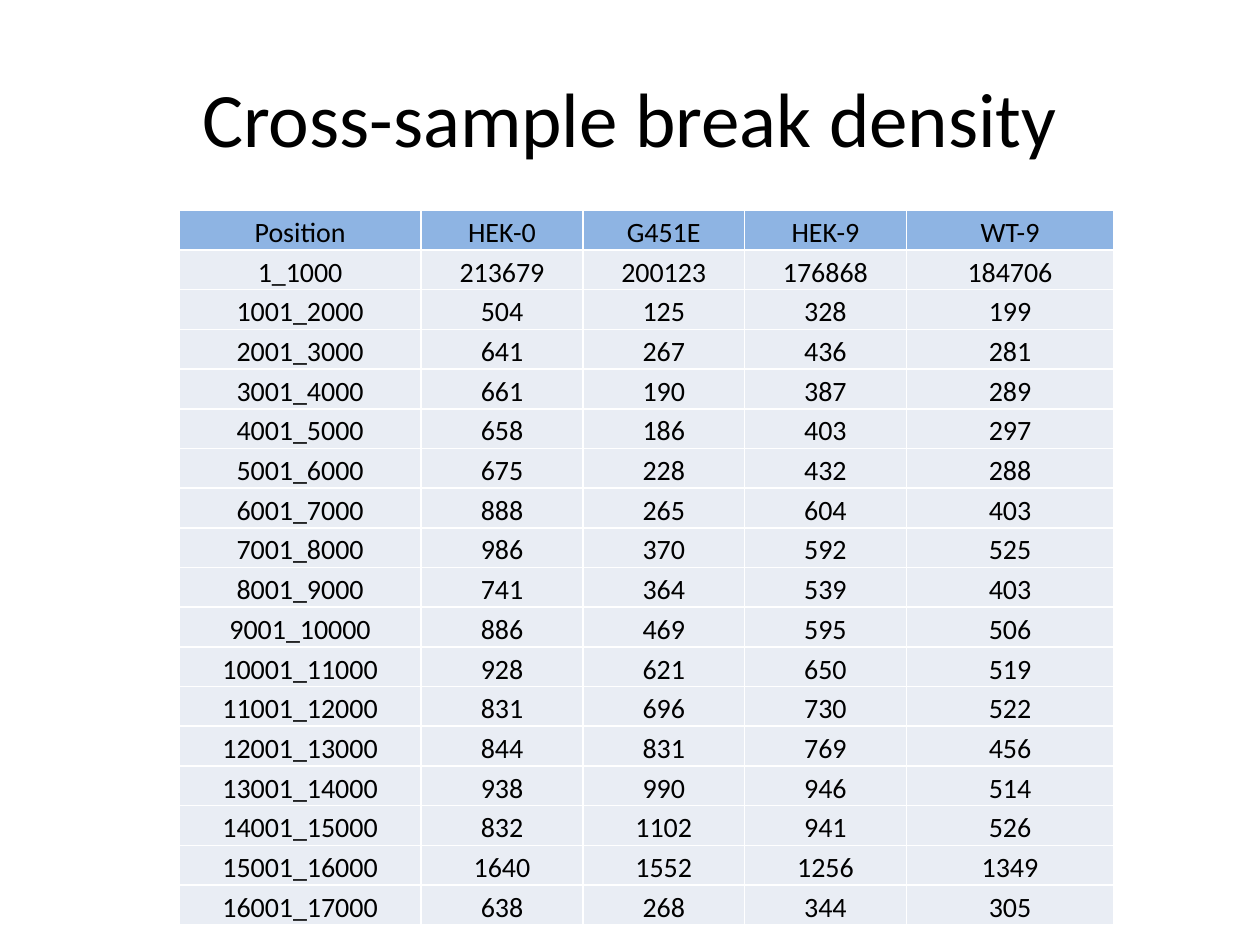
from dataclasses import dataclass

from lxml import etree
from pptx import Presentation
from pptx.dml.color import RGBColor
from pptx.enum.text import MSO_ANCHOR, PP_ALIGN
from pptx.oxml.ns import qn
from pptx.util import Cm, Pt

CENTER = PP_ALIGN.CENTER
MIDDLE = MSO_ANCHOR.MIDDLE
BOTTOM = MSO_ANCHOR.BOTTOM


@dataclass
class Theme:
    font: str = "Calibri"
    ink: str = "000000"
    head: str = "8EB4E3"
    body: str = "E9EDF4"
    rule: str = "FFFFFF"
    title: int = 44
    cell: int = 16
    line: int = 1


theme = Theme()


def write(frame, text, size):
    para = frame.paragraphs[0]
    para.alignment = CENTER
    run = para.add_run()
    run.text = text
    run.font.name = theme.font
    run.font.size = Pt(size)
    run.font.bold = False
    run.font.color.rgb = RGBColor.from_string(theme.ink)


def frame_cell(cell):
    props = cell._tc.get_or_add_tcPr()
    for side in ("a:lnL", "a:lnR", "a:lnT", "a:lnB"):
        line = etree.SubElement(props, qn(side), w=str(Pt(theme.line)))
        fill = etree.SubElement(line, qn("a:solidFill"))
        etree.SubElement(fill, qn("a:srgbClr"), val=theme.rule)


deck = Presentation()
deck.slide_width = Cm(25.4)
deck.slide_height = Cm(19.05)
slide = deck.slides.add_slide(deck.slide_layouts[5])

title = slide.shapes.title
title.left, title.top = Cm(1.27), Cm(0.76)
title.width, title.height = Cm(22.86), Cm(3.18)
title.text_frame.vertical_anchor = MIDDLE
write(title.text_frame, "Cross-sample break density", theme.title)

names = ["Position", "HEK-0", "G451E", "HEK-9", "WT-9"]
counts = [
    (213679, 200123, 176868, 184706),
    (504, 125, 328, 199),
    (641, 267, 436, 281),
    (661, 190, 387, 289),
    (658, 186, 403, 297),
    (675, 228, 432, 288),
    (888, 265, 604, 403),
    (986, 370, 592, 525),
    (741, 364, 539, 403),
    (886, 469, 595, 506),
    (928, 621, 650, 519),
    (831, 696, 730, 522),
    (844, 831, 769, 456),
    (938, 990, 946, 514),
    (832, 1102, 941, 526),
    (1640, 1552, 1256, 1349),
    (638, 268, 344, 305),
]
step = 1000
rows = [names]
for i, values in enumerate(counts):
    rows.append([f"{i * step + 1}_{(i + 1) * step}", *values])

widths = [4.88, 3.26, 3.26, 3.26, 4.18]
height = 0.8
table = slide.shapes.add_table(
    len(rows), len(widths), Cm(3.61), Cm(4.24),
    Cm(sum(widths)), Cm(height * len(rows)),
).table
table.horz_banding = False
for column, width in zip(table.columns, widths):
    column.width = Cm(width)

for r, row in enumerate(rows):
    table.rows[r].height = Cm(height)
    for c, value in enumerate(row):
        cell = table.cell(r, c)
        cell.margin_left = cell.margin_right = cell.margin_top = Cm(0.03)
        cell.margin_bottom = Cm(0)
        cell.vertical_anchor = BOTTOM
        frame_cell(cell)
        cell.fill.solid()
        shade = theme.body if r else theme.head
        cell.fill.fore_color.rgb = RGBColor.from_string(shade)
        write(cell.text_frame, str(value), theme.cell)

deck.save("out.pptx")
